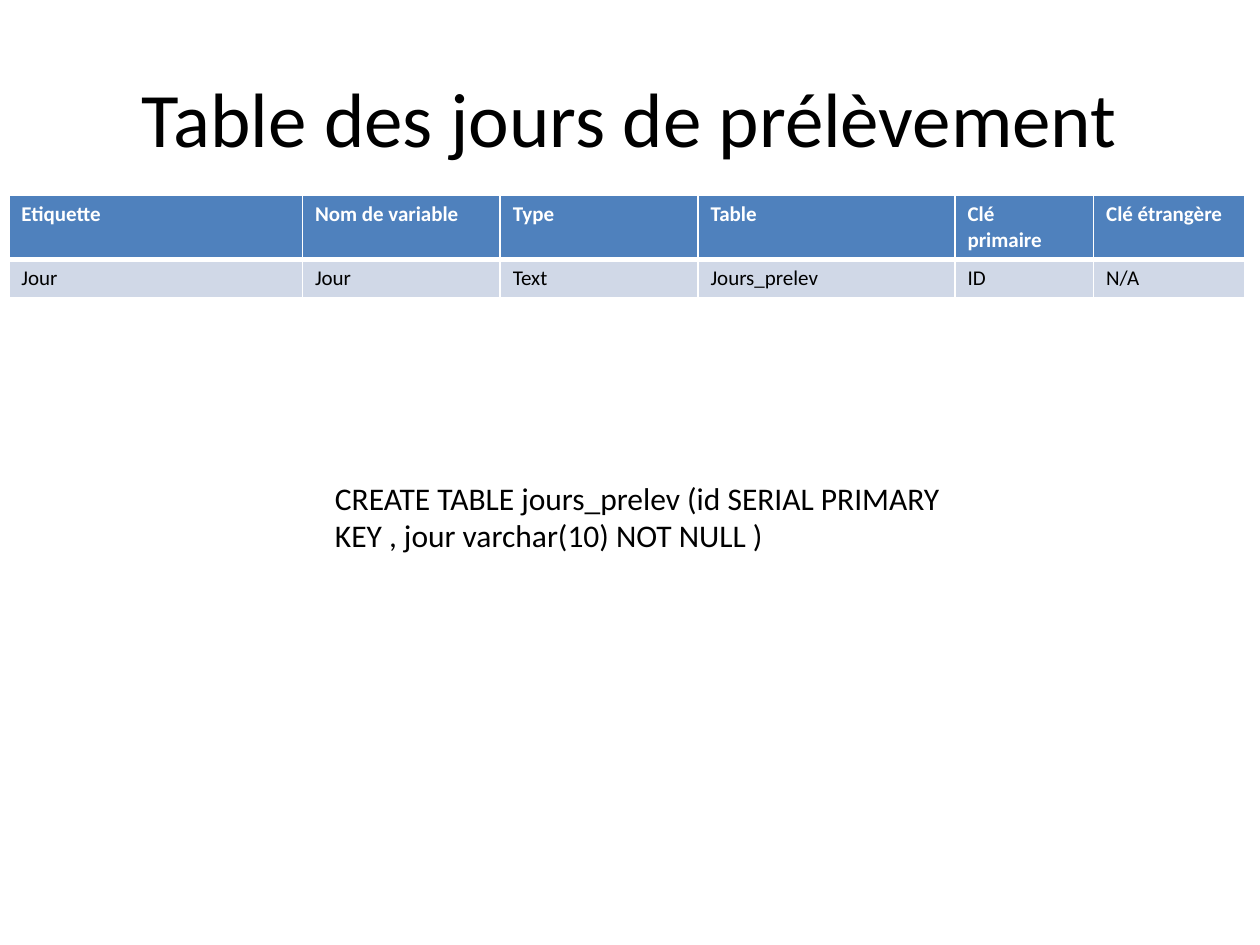
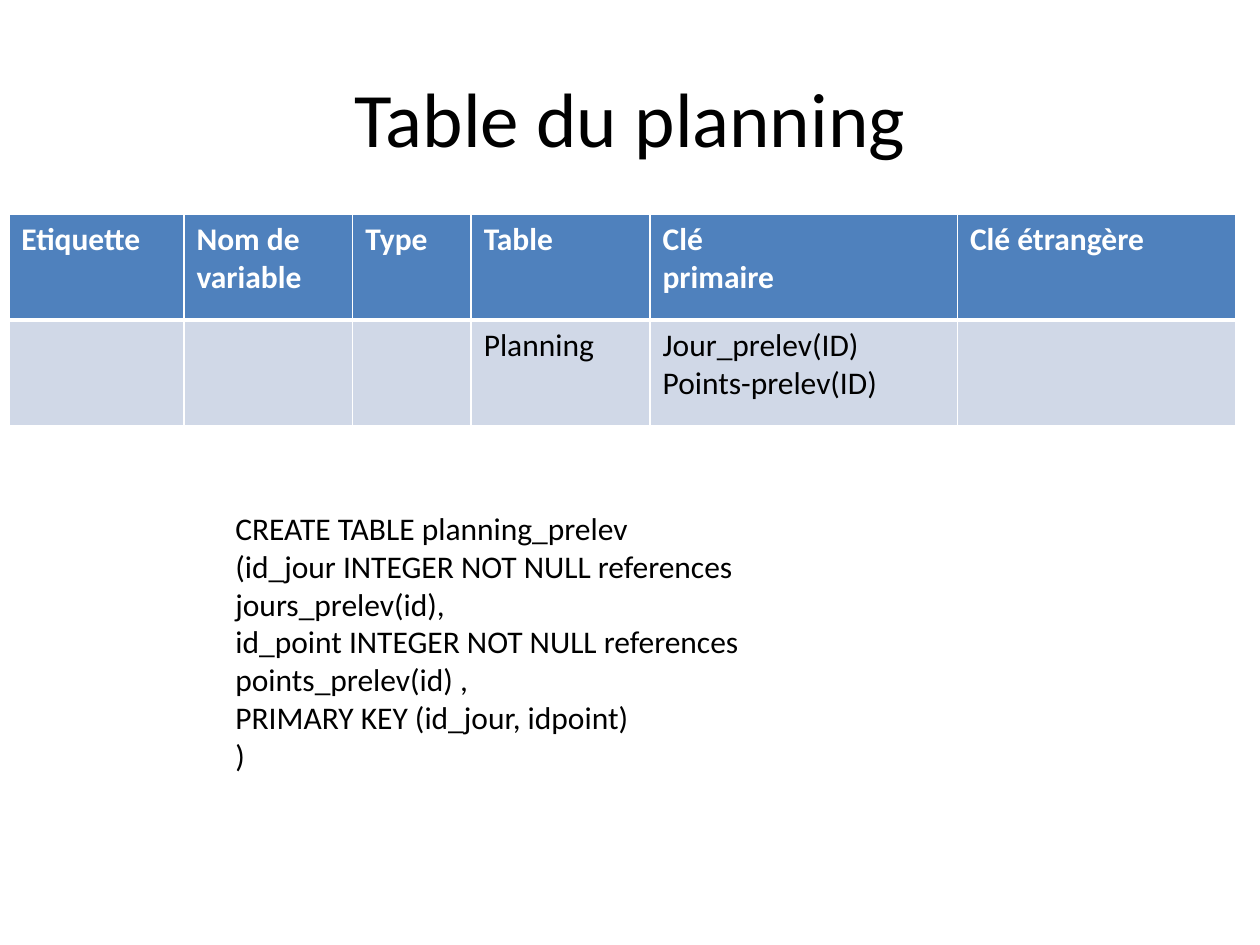
from lxml import etree
from pptx import Presentation
from pptx.dml.color import RGBColor
from pptx.enum.text import MSO_ANCHOR as ANCHOR, PP_ALIGN as ALIGN
from pptx.oxml.ns import qn
from pptx.util import Inches, Pt

BLACK = RGBColor(0x00, 0x00, 0x00)
WHITE = RGBColor(0xFF, 0xFF, 0xFF)
BLUE = RGBColor(0x4F, 0x81, 0xBD)
PALE_BLUE = RGBColor(0xD0, 0xD8, 0xE7)

FONT = "Calibri"
GRID_COLS, GRID_ROWS = 100, 75
THIN, THICK = 0.96, 3
HEADERS = ["Etiquette", "Nom de variable", "Type", "Table",
           "Clé\nprimaire", "Clé étrangère"]


class Deck:
    def __init__(self):
        self.prs = Presentation()
        self.prs.slide_width, self.prs.slide_height = Inches(10), Inches(7.5)
        self.s = None

    def x(self, cols):
        return round(self.prs.slide_width * cols / GRID_COLS)

    def y(self, rows):
        return round(self.prs.slide_height * rows / GRID_ROWS)

    def add_slide(self, title):
        self.s = self.prs.slides.add_slide(self.prs.slide_layouts[6])
        self.text(title, 5, 3, 90, 12.5, size=44,
                  align=ALIGN.CENTER, anchor=ANCHOR.MIDDLE)

    def fill_text(self, tf, text, align=ALIGN.LEFT, color=BLACK, **font):
        """Fill a text frame, one paragraph for each line of text."""
        for i, line in enumerate(text.split("\n")):
            p = tf.add_paragraph() if i else tf.paragraphs[0]
            p.alignment = align
            target = p.font
            if line:
                r = p.add_run()
                r.text = line
                target = r.font
            for name, value in {"name": FONT, **font}.items():
                setattr(target, name, value)
            target.color.rgb = color

    def text(self, text, left, top, width, height, size=18,
             align=ALIGN.LEFT, anchor=ANCHOR.TOP):
        sp = self.s.shapes.add_textbox(self.x(left), self.y(top),
                                       self.x(width), self.y(height))
        tf = sp.text_frame
        tf.word_wrap, tf.vertical_anchor = True, anchor
        self.fill_text(tf, text, align, size=Pt(size))

    def border(self, cell, sides):
        tc_pr = cell._tc.get_or_add_tcPr()
        for side, width in sides.items():
            ln = etree.SubElement(tc_pr, qn(f"a:ln{side}"), w=str(Pt(width)))
            fill = etree.SubElement(ln, qn("a:solidFill"))
            etree.SubElement(fill, qn("a:srgbClr"), val=str(WHITE))

    def table(self, values, top, widths, heights, size):
        """Draw a header row and one row of values."""
        rows = [HEADERS, values]
        frame = self.s.shapes.add_table(
            len(rows), len(HEADERS), self.x(0.7), self.y(top),
            self.x(sum(widths)), self.y(sum(heights)))
        table = frame.table
        for col, width in zip(table.columns, widths):
            col.width = self.x(width)
        for row, height in zip(table.rows, heights):
            row.height = self.y(height)
        styles = [
            (BLUE, WHITE, True, {"L": THIN, "R": THIN, "T": THIN, "B": THICK}),
            (PALE_BLUE, BLACK, False, {"L": THIN, "R": THIN, "T": THICK, "B": THIN}),
        ]
        for i, (texts, style) in enumerate(zip(rows, styles)):
            fill, color, bold, sides = style
            for j, text in enumerate(texts):
                cell = table.cell(i, j)
                self.border(cell, sides)
                cell.fill.solid()
                cell.fill.fore_color.rgb = fill
                self.fill_text(cell.text_frame, text, size=Pt(size),
                               bold=bold, color=color)


def sampling_days(deck):
    deck.add_slide("Table des jours de prélèvement")
    deck.table(["Jour", "Jour", "Text", "Jours_prelev", "ID", "N/A"], top=15.5,
               widths=[23.3, 15.7, 15.7, 20.4, 11, 12],
               heights=[5.1, 3], size=12)
    deck.text("CREATE TABLE jours_prelev (id SERIAL PRIMARY KEY , "
              "jour varchar(10) NOT NULL )", 25.6, 37.5, 51.2, 10)


def planning(deck):
    deck.add_slide("Table du planning")
    deck.table(["", "", "", "Planning", "Jour_prelev(ID)\nPoints-prelev(ID)", ""],
               top=17, widths=[13.9, 13.4, 9.4, 14.2, 24.4, 22.1],
               heights=[8.4, 8.4], size=18)
    deck.text("CREATE TABLE planning_prelev\n"
              "(id_jour INTEGER NOT NULL references jours_prelev(id),\n"
              "id_point INTEGER NOT NULL references points_prelev(id) ,\n"
              "PRIMARY KEY (id_jour, idpoint)\n"
              ")", 17.7, 39.9, 52.7, 22)


def main():
    deck = Deck()
    sampling_days(deck)
    planning(deck)
    deck.prs.save("out.pptx")


if __name__ == "__main__":
    main()
